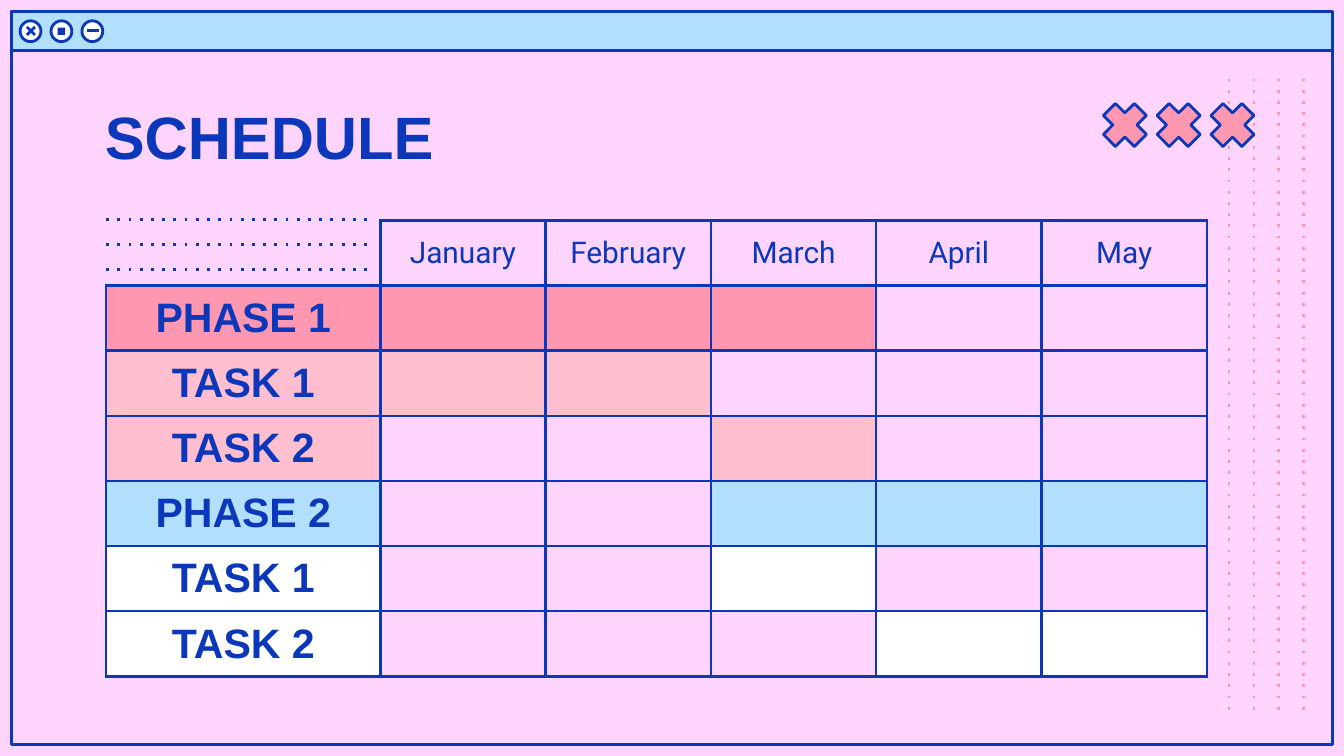
from dataclasses import dataclass

from lxml.etree import SubElement
from pptx import Presentation
from pptx.dml.color import RGBColor
from pptx.enum.shapes import MSO_CONNECTOR, MSO_SHAPE
from pptx.enum.text import MSO_ANCHOR, MSO_AUTO_SIZE, PP_ALIGN
from pptx.oxml import parse_xml
from pptx.oxml.ns import nsdecls, qn
from pptx.shapes.autoshape import Shape
from pptx.shapes.connector import Connector
from pptx.slide import Slide
from pptx.table import _Cell
from pptx.util import Emu, Pt

EMU_PER_PX = 4572


@dataclass(frozen=True)
class Theme:
    """Colours, fonts and point sizes of the deck."""

    page: str = "FFD4FF"
    ink: str = "0B37BA"
    rose: str = "FF97B1"
    blush: str = "FFBFCF"
    sky: str = "B3DFFF"
    white: str = "FFFFFF"
    heading_font: str = "Arial"
    body_font: str = "Roboto"
    title_size: int = 32
    phase_size: int = 22
    month_size: int = 16
    stroke: float = 1.5


@dataclass(frozen=True)
class Activity:
    """A schedule row with the month columns it fills."""

    name: str
    color: str
    months: tuple[int, ...]


THEME = Theme()
MONTHS = ("January", "February", "March", "April", "May")
ACTIVITIES = (
    Activity("PHASE 1", THEME.rose, (1, 2, 3)),
    Activity("TASK 1", THEME.blush, (1, 2)),
    Activity("TASK 2", THEME.blush, (3,)),
    Activity("PHASE 2", THEME.sky, (3, 4, 5)),
    Activity("TASK 1", THEME.white, (3,)),
    Activity("TASK 2", THEME.white, (4, 5)),
)
CROSS = ((64, 18), (46, 0), (32, 14), (18, 0), (0, 18), (14, 32),
         (0, 46), (18, 64), (32, 50), (46, 64), (64, 46), (50, 32))


def px(length: int) -> Emu:
    """Turn pixels into EMU."""
    return Emu(length * EMU_PER_PX)


def rgb(color: str) -> RGBColor:
    """Turn a hex colour into an RGBColor."""
    return RGBColor.from_string(color)


def paint(shape: Shape, fill: str | None, outlined: bool = True) -> None:
    """Give a shape its fill and ink outline."""
    shape.shadow.inherit = False
    if fill:
        shape.fill.solid()
        shape.fill.fore_color.rgb = rgb(fill)
    else:
        shape.fill.background()
    if outlined:
        shape.line.color.rgb = rgb(THEME.ink)
        shape.line.width = Pt(THEME.stroke)
    else:
        shape.line.fill.background()


def add_block(page: Slide, kind: MSO_SHAPE, left: int, top: int, width: int,
              height: int, fill: str | None, outlined: bool = True) -> None:
    """Draw a preset shape."""
    shape = page.shapes.add_shape(kind, px(left), px(top), px(width), px(height))
    paint(shape, fill, outlined)


def add_line(page: Slide, start: tuple[int, int], end: tuple[int, int],
             color: str = THEME.ink, dotted: bool = False) -> Connector:
    """Draw a straight line, solid or dotted."""
    line = page.shapes.add_connector(
        MSO_CONNECTOR.STRAIGHT, px(start[0]), px(start[1]), px(end[0]), px(end[1]))
    line.line.color.rgb = rgb(color)
    line.line.width = Pt(THEME.stroke)
    if dotted:
        SubElement(line.line._get_or_add_ln(), qn("a:prstDash")).set("val", "dot")
    SubElement(line._element.spPr, qn("a:effectLst"))
    return line


def add_window(page: Slide) -> None:
    """Draw the window frame, its bar and the three buttons."""
    add_block(page, MSO_SHAPE.RECTANGLE, 17, 17, 1966, 1091, None)
    add_block(page, MSO_SHAPE.RECTANGLE, 17, 17, 1966, 58, THEME.sky)
    for left in (30, 76, 122):
        add_block(page, MSO_SHAPE.OVAL, left, 31, 31, 31, THEME.white)
    add_line(page, (40, 40), (52, 52))
    add_line(page, (40, 52), (52, 40))
    add_block(page, MSO_SHAPE.RECTANGLE, 86, 41, 11, 11, THEME.ink, outlined=False)
    add_line(page, (129, 46), (147, 46))


def add_cross(page: Slide, left: int, top: int) -> None:
    """Draw one diagonal cross."""
    points = [(left + x, top + y) for x, y in CROSS]
    builder = page.shapes.build_freeform(*points[0], scale=EMU_PER_PX)
    builder.add_line_segments(points[1:], close=True)
    paint(builder.convert_to_shape(), THEME.rose)


def set_title(page: Slide, text: str) -> None:
    """Place and format the title."""
    title = page.shapes.title
    title.left, title.top, title.width, title.height = px(136), px(122), px(1438), px(130)
    frame = title.text_frame
    frame.text = text
    frame.auto_size = MSO_AUTO_SIZE.NONE
    frame.vertical_anchor = MSO_ANCHOR.TOP
    frame.margin_left = frame.margin_right = frame.margin_bottom = px(20)
    frame.margin_top = px(26)
    para = frame.paragraphs[0]
    para.alignment = PP_ALIGN.LEFT
    para.font.name = THEME.heading_font
    para.font.size = Pt(THEME.title_size)
    para.font.bold = True
    para.font.color.rgb = rgb(THEME.ink)


def format_cell(cell: _Cell, fill: str | None, open_corner: bool = False) -> None:
    """Set a cell's borders and fill."""
    for side in "LRTB":
        hidden = open_corner and side in "LT"
        paint_xml = ("<a:noFill/>" if hidden else
                     f'<a:solidFill><a:srgbClr val="{THEME.ink}"/></a:solidFill>')
        cell._tc.get_or_add_tcPr().append(parse_xml(
            f'<a:ln{side} {nsdecls("a")} w="{Pt(THEME.stroke)}">{paint_xml}</a:ln{side}>'))
    if fill:
        cell.fill.solid()
        cell.fill.fore_color.rgb = rgb(fill)
    else:
        cell.fill.background()


def write_cell(cell: _Cell, text: str, font: str, size: int, bold: bool, margin: int) -> None:
    """Write centred text in a cell."""
    cell.text = text
    cell.vertical_anchor = MSO_ANCHOR.MIDDLE
    cell.margin_left = cell.margin_right = px(20)
    cell.margin_top = cell.margin_bottom = px(margin)
    para = cell.text_frame.paragraphs[0]
    para.alignment = PP_ALIGN.CENTER
    para.font.name = font
    para.font.size = Pt(size)
    para.font.bold = bold
    para.font.color.rgb = rgb(THEME.ink)


def add_schedule(page: Slide) -> None:
    """Draw the schedule table."""
    widths = [408] + [246] * len(MONTHS)
    row_height, row_count = 97, len(ACTIVITIES) + 1
    table = page.shapes.add_table(row_count, len(widths), px(158), px(328), px(sum(widths)),
                                  px(row_height * row_count)).table
    table.first_row = table.horz_banding = False
    for column, width in zip(table.columns, widths):
        column.width = px(width)
    for row in table.rows:
        row.height = px(row_height)
    for index in range(len(widths)):
        format_cell(table.cell(0, index), None, open_corner=index == 0)
    for index, month in enumerate(MONTHS, 1):
        write_cell(table.cell(0, index), month, THEME.body_font, THEME.month_size, False, 20)
    for row, activity in enumerate(ACTIVITIES, 1):
        for index in range(len(widths)):
            filled = index == 0 or index in activity.months
            format_cell(table.cell(row, index), activity.color if filled else None)
        write_cell(table.cell(row, 0), activity.name, THEME.heading_font,
                   THEME.phase_size, True, 0)


def main() -> None:
    """Build and save the schedule slide."""
    deck = Presentation()
    deck.slide_width, deck.slide_height = px(2000), px(1125)
    page = deck.slides.add_slide(deck.slide_layouts[5])
    page.background.fill.solid()
    page.background.fill.fore_color.rgb = rgb(THEME.page)
    add_window(page)
    for column in range(4):
        x = 1940 - 37 * column
        add_line(page, (x, 117), (x, 1066), THEME.rose, dotted=True)
    set_title(page, "SCHEDULE")
    add_schedule(page)
    for row in range(3):
        y = 327 + 37 * row
        add_line(page, (158, y), (546, y), dotted=True)
    for index in range(3):
        add_cross(page, 1802 - 80 * index, 154)
    deck.save("out.pptx")


if __name__ == "__main__":
    main()
